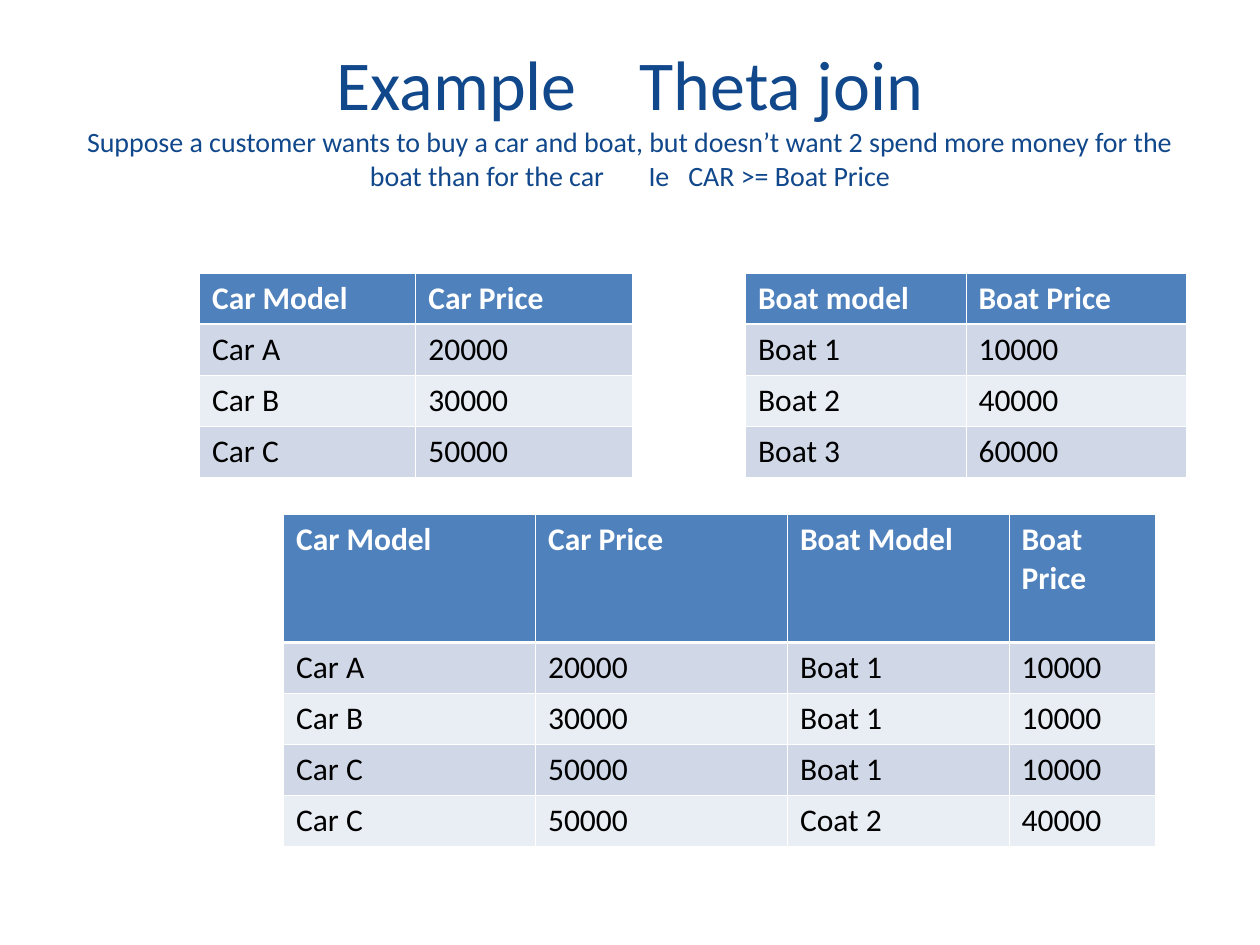
from pptx import Presentation
from pptx.dml.color import RGBColor as RGB
from pptx.enum.text import MSO_ANCHOR as Anchor, PP_ALIGN as Align
from pptx.oxml import parse_xml
from pptx.oxml.ns import nsdecls
from pptx.util import Inches, Pt


def color(hex_value):
    return RGB.from_string(hex_value)


def add_text(p, text, size=18, fill="000000", bold=False, font="Calibri", gap=0):
    """Add a run; gap is extra letter spacing in points."""
    r = p.add_run()
    r.text = text
    r.font.name, r.font.size, r.font.bold = font, Pt(size), bold
    r.font.color.rgb = color(fill)
    if gap:
        r._r.get_or_add_rPr().set("spc", str(round(gap * 100)))


def add_border(cell, side, width):
    cell._tc.get_or_add_tcPr().append(parse_xml(
        f'<a:ln{side} {nsdecls("a")} w="{Pt(width)}"><a:solidFill>'
        f'<a:srgbClr val="FFFFFF"/></a:solidFill></a:ln{side}>'))


class Deck:
    # Grid of 120 columns by 90 rows
    unit = 1 / 12
    title_color, header, bands = "11488B", "4F81BD", ("D0D8E8", "E9EDF4")
    thin, thick = 0.45, 1.47
    row_height = 4.86

    def __init__(self):
        self.prs = Presentation()
        self.prs.slide_width, self.prs.slide_height = self.grid(120), self.grid(90)
        self.slide = self.prs.slides.add_slide(self.prs.slide_layouts[6])

    def grid(self, n):
        return Inches(n * self.unit)

    def title(self, col, row, cols, rows, lines):
        """Each line is (size, parts, widths of the gaps between the parts)."""
        box = self.slide.shapes.add_textbox(*map(self.grid, (col, row, cols, rows)))
        tf = box.text_frame
        tf.word_wrap, tf.vertical_anchor = True, Anchor.MIDDLE
        p = tf.paragraphs[0]
        p.alignment = Align.CENTER
        for i, (size, parts, gaps) in enumerate(lines):
            if i:
                p.add_line_break()
            for part, gap in zip(parts, (*gaps, 0)):
                add_text(p, part, size=size, fill=self.title_color)
                if gap:
                    add_text(p, " ", size=size, fill=self.title_color, gap=gap)

    def table(self, col, row, widths, data, header_height=row_height):
        heights = [header_height] + [self.row_height] * (len(data) - 1)
        table = self.slide.shapes.add_table(
            len(data), len(widths),
            *map(self.grid, (col, row, sum(widths), sum(heights)))).table
        for column, width in zip(table.columns, widths):
            column.width = self.grid(width)
        for i, values in enumerate(data):
            table.rows[i].height = self.grid(heights[i])
            for j, value in enumerate(values):
                self.cell(table.cell(i, j), i, value)

    def cell(self, cell, i, value):
        is_header = i == 0
        for side in "LRTB":
            under_header = (side, i) in (("B", 0), ("T", 1))
            add_border(cell, side, self.thick if under_header else self.thin)
        cell.fill.solid()
        cell.fill.fore_color.rgb = color(
            self.header if is_header else self.bands[(i - 1) % 2])
        add_text(cell.text_frame.paragraphs[0], value, bold=is_header,
                 fill="FFFFFF" if is_header else "000000")


def main():
    deck = Deck()

    # Title and the question
    deck.title(6, 3.6, 108, 15, [
        (40, ("Example", "Theta join"), (27,)),
        (16, ("Suppose a customer wants to buy a car and boat, but doesn’t want 2 "
              "spend more money for the boat than for the car",
              "Ie", "CAR >= Boat Price"), (21.7, 7.2)),
    ])

    # Source relations
    cars = [("Car A", "20000"), ("Car B", "30000"), ("Car C", "50000")]
    boats = [("Boat 1", "10000"), ("Boat 2", "40000"), ("Boat 3", "60000")]
    deck.table(19, 26, (20.6, 20.6), [("Car Model", "Car Price"), *cars])
    deck.table(71, 26, (21, 21), [("Boat model", "Boat Price"), *boats])

    # Joined relation
    joined = [car + boats[0] for car in cars] + [cars[2] + ("Coat 2", "40000")]
    deck.table(27, 49, (24, 24, 21.1, 13.9),
               [("Car Model", "Car Price", "Boat Model", "Boat Price"), *joined],
               header_height=12.2)

    deck.prs.save("out.pptx")


if __name__ == "__main__":
    main()
